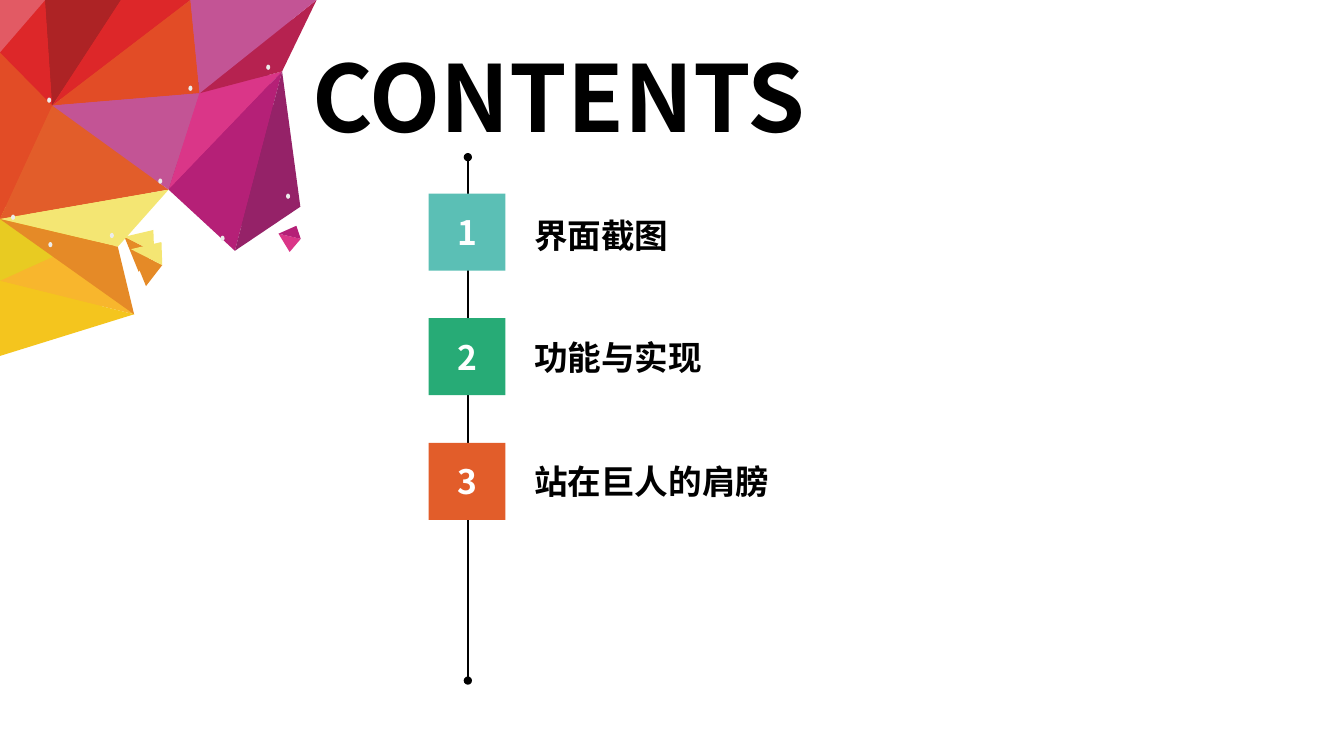
from lxml.etree import SubElement
from pptx import Presentation
from pptx.dml.color import RGBColor
from pptx.enum.shapes import MSO_CONNECTOR, MSO_SHAPE
from pptx.enum.text import MSO_ANCHOR, MSO_AUTO_SIZE, PP_ALIGN
from pptx.oxml.ns import qn
from pptx.util import Cm, Pt

VERTICES = {
    "A": (0, 0), "B": (1.14, 0), "C": (3.05, 0), "D": (4.8, 0), "E": (7.98, 0),
    "F": (0, 1.32), "G": (1.32, 2.66), "H": (5.03, 2.35), "I": (7.11, 1.8),
    "J": (4.25, 4.78), "K": (5.92, 6.32), "L": (7.57, 5.21), "M": (0, 5.52),
    "N": (2.39, 6), "O": (0, 7.08), "P": (3.38, 7.92), "Q": (2.97, 6.22),
    "R": (0, 8.97), "S": (3.3, 6.28), "T": (3.68, 7.21), "U": (4.09, 6.68),
    "V": (4.07, 6.1), "W": (7.02, 5.89), "X": (7.3, 6.35), "Y": (7.58, 6.02),
    "Z": (7.47, 5.69),
}
FACETS = [
    ("MON", "E8CB22"), ("OPN", "F8B62D"), ("FMG", "E24C26"), ("MJG", "E25D2A"),
    ("GBF", "DD2729"), ("GCB", "AD2325"), ("GDC", "DD2729"), ("DHG", "E24C26"),
    ("JGH", "C35495"), ("JIH", "DA3688"), ("JKI", "B52077"), ("KLI", "952268"),
    ("HEI", "B62250"), ("DEH", "C35495"), ("TSU", "E58A27"), ("SVU", "F4E673"),
    ("BAF", "E25A64"), ("JQM", "F4E673"), ("QPM", "E58A27"), ("ORP", "F4C51E"),
]
SHARDS = [("XWY", "DA3688"), ("WZY", "B52077")]
DOTS = [(6.71, 1.63), (4.75, 2.16), (3.99, 4.5), (1.19, 2.46), (1.22, 6.1),
        (0.28, 5.41), (2.77, 5.87), (5.56, 5.94), (7.21, 4.88)]
ENTRIES = [("界面截图", 5.28, "5BBFB5"), ("功能与实现", 8.36, "27AB76"),
           ("站在巨人的肩膀", 11.48, "E25D2A")]


def rgb(value):
    return RGBColor.from_string(value)


def write(tf, text, size=24, color="000000", align=None, font="Noto Sans CJK SC"):
    p = tf.paragraphs[0]
    p.alignment = align
    r = p.add_run()
    r.text = text
    r.font.size = Pt(size)
    r.font.bold = True
    r.font.color.rgb = rgb(color)
    r.font.name = font
    SubElement(r.font._element, qn("a:ea"), typeface=font)


class Deck:
    """Holds the slide, its mosaic group and the shared drawing style."""

    def __init__(self):
        self.prs = Presentation()
        self.prs.slide_width, self.prs.slide_height = Cm(33.87), Cm(19.05)
        self.s = self.prs.slides.add_slide(self.prs.slide_layouts[6])
        self.mosaic = None

    def start_mosaic(self):
        self.mosaic = self.s.shapes.add_group_shape()

    def paint(self, sp, color):
        sp.shadow.inherit = False
        sp.fill.solid()
        sp.fill.fore_color.rgb = rgb(color)
        sp.line.fill.background()

    def facet(self, corners, color, scale=1.0):
        points = [tuple(Cm(v * scale) for v in VERTICES[c]) for c in corners]
        builder = self.mosaic.shapes.build_freeform(*points[0])
        builder.add_line_segments(points[1:], close=True)
        self.paint(builder.convert_to_shape(), color)

    def dot(self, x, y):
        sp = self.mosaic.shapes.add_shape(
            MSO_SHAPE.OVAL, Cm(x), Cm(y), Cm(0.1), Cm(0.13))
        self.paint(sp, "ECECEB")

    def square(self, x, y, side, text, color):
        sp = self.s.shapes.add_shape(
            MSO_SHAPE.RECTANGLE, Cm(x), Cm(y), Cm(side), Cm(side))
        self.paint(sp, color)
        sp.text_frame.vertical_anchor = MSO_ANCHOR.MIDDLE
        write(sp.text_frame, text, color="FFFFFF", align=PP_ALIGN.CENTER)

    def text(self, x, y, w, h, text, **style):
        tf = self.s.shapes.add_textbox(Cm(x), Cm(y), Cm(w), Cm(h)).text_frame
        tf.word_wrap = True
        tf.auto_size = MSO_AUTO_SIZE.SHAPE_TO_FIT_TEXT
        write(tf, text, **style)

    def timeline(self, x, top, bottom):
        line = self.s.shapes.add_connector(
            MSO_CONNECTOR.STRAIGHT, Cm(x), Cm(top), Cm(x), Cm(bottom))
        line.line.color.rgb = rgb("000000")
        line.line.width = Pt(1.75)
        ln = line.line._get_or_add_ln()
        for end in ("a:headEnd", "a:tailEnd"):
            SubElement(ln, qn(end), type="oval")
        SubElement(line._element.spPr, qn("a:effectLst"))


def main():
    deck = Deck()
    for label, top, _ in ENTRIES:
        deck.text(13.21, top, 11.13, 1.28, label)

    deck.start_mosaic()
    for scale in (0.95, 1):
        for corners, color in FACETS:
            deck.facet(corners, color, scale)
    for corners, color in SHARDS:
        deck.facet(corners, color)
    for x, y in DOTS:
        deck.dot(x, y)

    deck.text(7.62, 0.89, 16.21, 3.07, "CONTENTS", size=66)
    deck.timeline(11.79, 3.96, 17.15)
    for i, (_, _, color) in enumerate(ENTRIES):
        deck.square(10.8, 4.88 + 3.14 * i, 1.94, str(i + 1), color)
    deck.prs.save("out.pptx")


if __name__ == "__main__":
    main()
